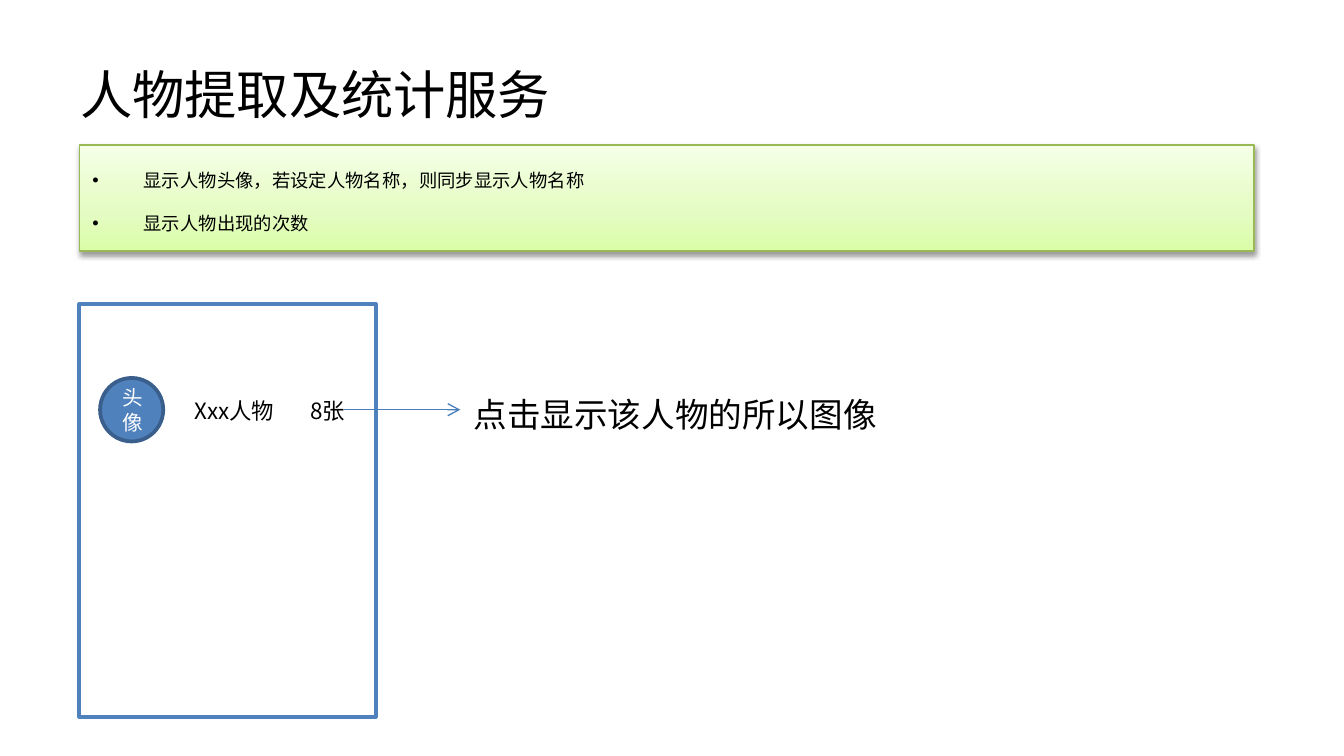
"""Build the slide on the person extraction and counting service."""
from copy import deepcopy
from dataclasses import dataclass

from lxml.etree import SubElement
from pptx import Presentation
from pptx.dml.color import RGBColor
from pptx.enum.shapes import MSO_CONNECTOR, MSO_SHAPE
from pptx.enum.text import MSO_ANCHOR, PP_ALIGN
from pptx.oxml import parse_xml
from pptx.oxml.ns import nsdecls, qn
from pptx.shapes.autoshape import Shape
from pptx.util import Inches, Pt

WIDTH = Inches(10)
HEIGHT = WIDTH * 9 // 16


@dataclass(frozen=True)
class Theme:
    font: str = "Noto Sans CJK SC"
    bullet_font: str = "Arial"
    ink: str = "000000"
    paper: str = "FFFFFF"
    blue: str = "4F81BD"
    dark_blue: str = "3A5F8C"
    arrow_blue: str = "4B7EBC"
    green: str = "98B955"
    green_stops: tuple = ((0, "DAFDA7"), (0.35, "E4FCC2"), (1, "F5FFE7"))
    title_size: float = 28
    note_size: float = 18
    caption_size: float = 12
    avatar_size: float = 11
    feature_size: float = 9.8
    thin: float = 0.75
    thick: float = 2


@dataclass(frozen=True)
class Box:
    left: float
    top: float
    width: float
    height: float

    def place(self) -> tuple:
        return (across(self.left), down(self.top),
                across(self.width), down(self.height))


THEME = Theme()


def across(percent: float) -> int:
    return round(WIDTH * percent / 100)


def down(percent: float) -> int:
    return round(HEIGHT * percent / 100)


def write(shape: Shape, text: str, size: float, color: str = THEME.ink,
          wrap: bool = True) -> None:
    frame = shape.text_frame
    frame.text = text
    frame.word_wrap = wrap
    for paragraph in frame.paragraphs:
        font = paragraph.font
        font.name, font.size = THEME.font, Pt(size)
        font.color.rgb = RGBColor.from_string(color)
        defaults = paragraph._p.pPr.find(qn("a:defRPr"))
        SubElement(defaults, qn("a:ea"), typeface=THEME.font)


def add_text(slide, box: Box, text: str, size: float, wrap: bool = True) -> Shape:
    label = slide.shapes.add_textbox(*box.place())
    write(label, text, size, wrap=wrap)
    return label


def add_figure(slide, kind: MSO_SHAPE, box: Box, fill: str, line: str,
               weight: float) -> Shape:
    figure = slide.shapes.add_shape(kind, *box.place())
    figure.shadow.inherit = False
    figure.fill.solid()
    figure.fill.fore_color.rgb = RGBColor.from_string(fill)
    figure.line.color.rgb = RGBColor.from_string(line)
    figure.line.width = Pt(weight)
    return figure


def add_paragraph_property(paragraph, xml: str) -> None:
    paragraph._p.pPr.find(qn("a:defRPr")).addprevious(parse_xml(xml))


def add_features(slide, box: Box, features: list[str]) -> None:
    panel = add_figure(slide, MSO_SHAPE.RECTANGLE, box, THEME.paper,
                       THEME.green, THEME.thin)
    panel.fill.gradient()
    panel.fill.gradient_angle = 90
    first = panel.fill.gradient_stops[0]._gs
    first.addnext(deepcopy(first))
    for stop, (position, color) in zip(panel.fill.gradient_stops, THEME.green_stops):
        stop.position = position
        stop.color.rgb = RGBColor.from_string(color)
    effects = panel._element.spPr.find(qn("a:effectLst"))
    effects.append(parse_xml(
        f'<a:outerShdw {nsdecls("a")} blurRad="{Pt(3.1)}" dist="{Pt(1.6)}" '
        f'dir="5400000" rotWithShape="0"><a:srgbClr val="{THEME.ink}">'
        '<a:alpha val="38000"/></a:srgbClr></a:outerShdw>'))
    write(panel, "\n".join(features), THEME.feature_size)
    panel.text_frame.vertical_anchor = MSO_ANCHOR.TOP
    for paragraph in panel.text_frame.paragraphs:
        paragraph.alignment = PP_ALIGN.LEFT
        paragraph.line_spacing = 1.8
        paragraph.space_before = Pt(2)
        properties = paragraph._p.pPr
        properties.set("marL", str(Inches(0.38)))
        properties.set("indent", str(-Inches(0.38)))
        add_paragraph_property(
            paragraph, f'<a:buFont {nsdecls("a")} typeface="{THEME.bullet_font}"/>')
        add_paragraph_property(paragraph, f'<a:buChar {nsdecls("a")} char="•"/>')


def add_arrow(slide, start: float, end: float, level: float) -> None:
    arrow = slide.shapes.add_connector(MSO_CONNECTOR.STRAIGHT, across(start),
                                       down(level), across(end), down(level))
    arrow.line.color.rgb = RGBColor.from_string(THEME.arrow_blue)
    arrow.line.width = Pt(THEME.thin)
    SubElement(arrow.line._get_or_add_ln(), qn("a:tailEnd"), type="arrow")
    SubElement(arrow._element.spPr, qn("a:effectLst"))


def main() -> None:
    deck = Presentation()
    deck.slide_width, deck.slide_height = WIDTH, HEIGHT
    slide = deck.slides.add_slide(deck.slide_layouts[6])

    title = add_text(slide, Box(5, 4.1, 90, 16.7), "人物提取及统计服务", THEME.title_size)
    title.text_frame.vertical_anchor = MSO_ANCHOR.MIDDLE
    add_features(slide, Box(5.9, 19.2, 87.4, 14),
                 ["显示人物头像，若设定人物名称，则同步显示人物名称", "显示人物出现的次数"])

    add_figure(slide, MSO_SHAPE.RECTANGLE, Box(5.9, 40.2, 22.05, 54.6),
               THEME.paper, THEME.blue, THEME.thick)
    avatar = add_figure(slide, MSO_SHAPE.OVAL, Box(7.45, 50, 4.7, 8.4),
                        THEME.blue, THEME.dark_blue, THEME.thick)
    write(avatar, "头像", THEME.avatar_size, THEME.paper)
    avatar.text_frame.paragraphs[0].alignment = PP_ALIGN.CENTER
    avatar.text_frame.vertical_anchor = MSO_ANCHOR.MIDDLE

    person = add_text(slide, Box(13.5, 51.6, 14.8, 5.3), "Xxx人物\t8张",
                      THEME.caption_size)
    add_paragraph_property(
        person.text_frame.paragraphs[0],
        f'<a:tabLst {nsdecls("a")}><a:tab pos="{Inches(0.86)}" algn="l"/></a:tabLst>')
    add_arrow(slide, 25.6, 34.25, 54.2)
    add_text(slide, Box(34.25, 51.2, 32.3, 7.1), "点击显示该人物的所以图像",
             THEME.note_size, wrap=False)

    deck.save("out.pptx")


if __name__ == "__main__":
    main()
